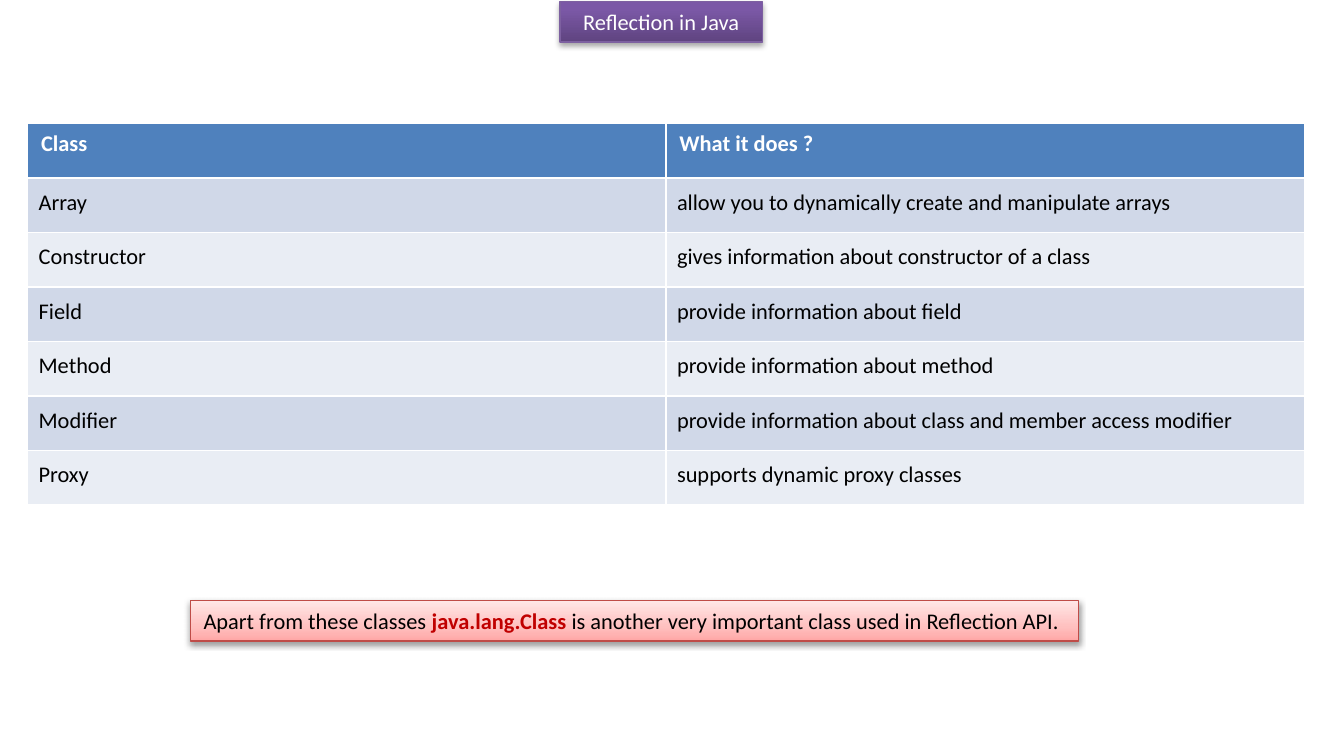
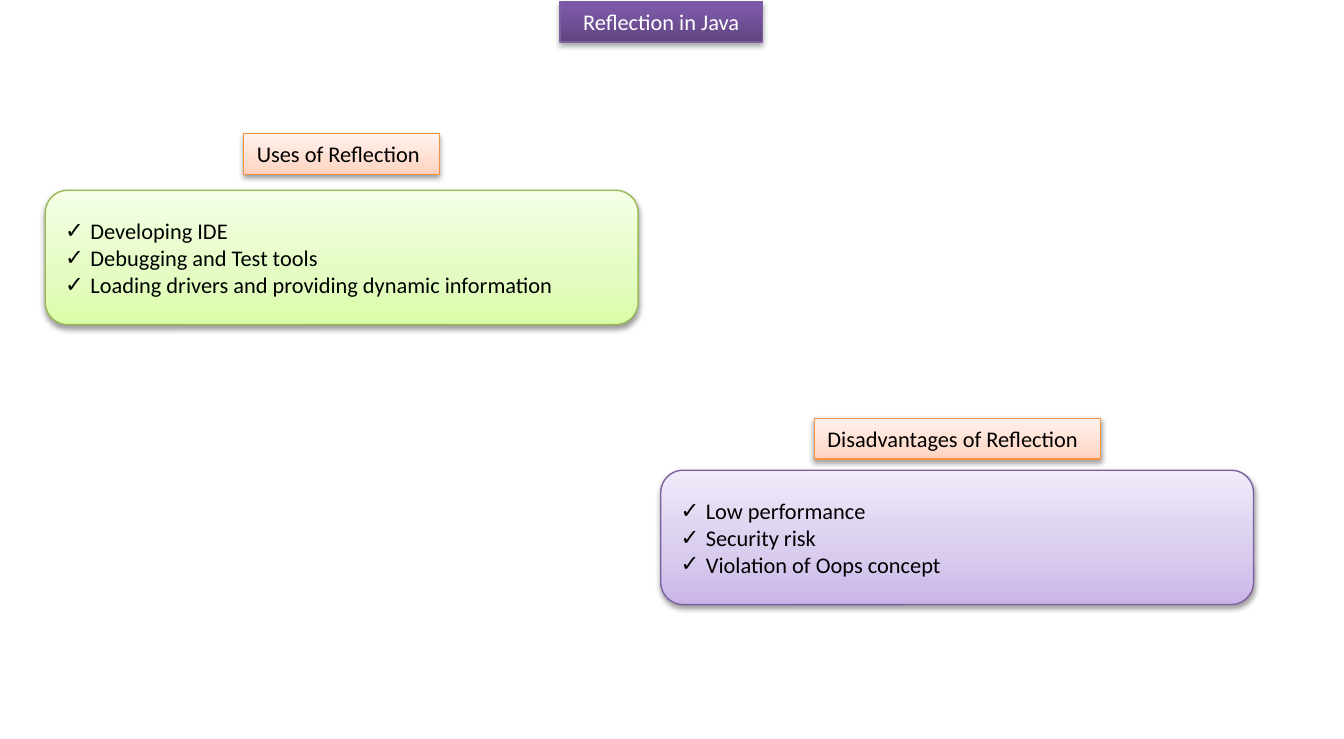
from collections import namedtuple

from lxml import etree
from pptx import Presentation
from pptx.dml.color import RGBColor
from pptx.enum import text
from pptx.oxml import ns, parse_xml
from pptx.util import Pt

WHITE = RGBColor(0xFF, 0xFF, 0xFF)
BLACK = RGBColor(0x00, 0x00, 0x00)
DARK_RED = RGBColor(0xC0, 0x00, 0x00)
HEADER_BLUE = RGBColor(0x4F, 0x81, 0xBD)
ROW_BANDS = (RGBColor(0xD0, 0xD8, 0xE8), RGBColor(0xE9, 0xED, 0xF4))
PURPLE_LINE = RGBColor(0x7D, 0x60, 0xA0)

Box = namedtuple("Box", "left top width height")
Look = namedtuple("Look", "middle_stop colors line shadow_alpha shadow_distance")


def soft_look(colors, line):
    """Describe a pale gradient with the shared soft shadow."""
    return Look(35, [RGBColor.from_string(c) for c in colors], line, 38, 1.6)


TITLE_LOOK = Look(80, [RGBColor(0x5F, 0x44, 0x80), RGBColor(0x7B, 0x58, 0xA6),
                       RGBColor(0x7C, 0x57, 0xA8)], PURPLE_LINE, 35, 1.8)
RED_LOOK = soft_look(("FFA6A5", "FFC0BF", "FFE7E7"), RGBColor(0xBF, 0x4C, 0x48))
GREEN_LOOK = soft_look(("DAFDA7", "E4FCC2", "F5FFE7"), RGBColor(0x98, 0xB9, 0x55))
PURPLE_LOOK = soft_look(("C9B5E8", "D8CBEE", "F0EAF9"), PURPLE_LINE)
ORANGE_LOOK = soft_look(("FFD2BD", "FFDED0", "FFF2ED"), RGBColor(0xF6, 0x92, 0x40))

TITLE_BOX = Box(300, 0.7, 108.5, 21.8)
LABEL_HEIGHT = 21.8
CARD_SIZE = (317.6, 72)

CLASSES = [
    ("Class", "What it does ?"),
    ("Array", "allow you to dynamically create and manipulate arrays"),
    ("Constructor", "gives information about constructor of a class"),
    ("Field", "provide information about field"),
    ("Method", "provide information about method"),
    ("Modifier", "provide information about class and member access modifier"),
    ("Proxy", "supports dynamic proxy classes"),
]


def place(shape, box):
    """Move and size a shape in points."""
    shape.left, shape.top, shape.width, shape.height = map(Pt, box)


def paint(shape, look, outline="rect"):
    """Give a placed shape its outline, upward gradient, line and shadow."""
    properties = shape._element.spPr
    for child in list(properties)[1:]:
        properties.remove(child)
    stops = "".join(
        f'<a:gs pos="{position * 1000}"><a:srgbClr val="{color}"/></a:gs>'
        for position, color in zip((0, look.middle_stop, 100), look.colors))
    parts = parse_xml(
        f'<p:spPr {ns.nsdecls("a", "p")}>'
        f'<a:prstGeom prst="{outline}"><a:avLst/></a:prstGeom>'
        f'<a:gradFill rotWithShape="1"><a:gsLst>{stops}</a:gsLst>'
        '<a:lin ang="16200000" scaled="0"/></a:gradFill>'
        f'<a:ln w="{Pt(0.75)}"><a:solidFill><a:srgbClr val="{look.line}"/></a:solidFill></a:ln>'
        f'<a:effectLst><a:outerShdw blurRad="{Pt(3.1)}" dist="{Pt(look.shadow_distance)}" '
        'dir="5400000" rotWithShape="0"><a:srgbClr val="000000">'
        f'<a:alpha val="{look.shadow_alpha * 1000}"/></a:srgbClr></a:outerShdw></a:effectLst>'
        '</p:spPr>')
    properties.extend(list(parts))


def style(font, color=BLACK, bold=False):
    """Apply the deck's type to a font."""
    font.name, font.size, font.bold = "Calibri", Pt(12), bold
    font.color.rgb = color


def add_title(slide):
    """Fill the slide title as a purple tab at the top."""
    title = slide.shapes.title
    place(title, TITLE_BOX)
    paint(title, TITLE_LOOK)
    frame = title.text_frame
    frame.text = "Reflection in Java"
    frame.auto_size = text.MSO_AUTO_SIZE.NONE
    frame.vertical_anchor = text.MSO_ANCHOR.TOP
    frame.paragraphs[0].alignment = text.PP_ALIGN.CENTER
    style(frame.paragraphs[0].font, WHITE)


def add_label(slide, box, look, wording=""):
    """Add a one-line painted label and return its paragraph."""
    label = slide.shapes.add_textbox(*map(Pt, box))
    paint(label, look)
    label.text_frame.word_wrap = True
    line = label.text_frame.paragraphs[0]
    if wording:
        line.text = wording
    style(line.font)
    return line


def add_class_table(slide, box):
    """Add the table of classes with a blue header and banded rows."""
    table = slide.shapes.add_table(len(CLASSES), 2, *map(Pt, box)).table
    for row_index, wordings in enumerate(CLASSES):
        is_header = row_index == 0
        for cell, wording in zip(table.rows[row_index].cells, wordings):
            cell.text = wording
            cell.fill.solid()
            cell.fill.fore_color.rgb = HEADER_BLUE if is_header else ROW_BANDS[(row_index - 1) % 2]
            if not is_header:
                cell.margin_left = cell.margin_right = Pt(5.9)
                cell.margin_top = cell.margin_bottom = Pt(5.9)
            style(cell.text_frame.paragraphs[0].font, WHITE if is_header else BLACK, is_header)


def add_check_card(slide, card, box, look, points):
    """Turn a body placeholder into a rounded card of ticked points."""
    place(card, box)
    paint(card, look, "roundRect")
    frame = card.text_frame
    frame.text = "\n".join(points)
    frame.auto_size = text.MSO_AUTO_SIZE.NONE
    frame.vertical_anchor = text.MSO_ANCHOR.MIDDLE
    for point in frame.paragraphs:
        properties = point._p.get_or_add_pPr()
        properties.set("marL", str(Pt(13.5)))
        properties.set("indent", str(-Pt(13.5)))
        etree.SubElement(properties, ns.qn("a:buChar")).set("char", "✓")
        point.space_before = Pt(0)
        style(point.font)


def add_topic(slide, card, corner, label_box, look, heading, points):
    """Add a card with its heading, placed relative to the card's corner."""
    left, top = corner
    add_check_card(slide, card, Box(left, top, *CARD_SIZE), look, points)
    offset, rise, width = label_box
    add_label(slide, Box(left + offset, top - rise, width, LABEL_HEIGHT), ORANGE_LOOK, heading)


def build_classes_slide(deck):
    """Build the slide listing the reflection classes."""
    slide = deck.slides.add_slide(deck.slide_layouts[5])
    add_title(slide)
    add_class_table(slide, Box(14.8, 66.2, 684, 204.4))
    note = add_label(slide, Box(102, 321.8, 476, LABEL_HEIGHT), RED_LOOK)
    for wording, color, bold in (
            ("Apart from these classes ", BLACK, False),
            ("java.lang.Class ", DARK_RED, True),
            ("is another very important class used in Reflection API.", BLACK, False)):
        run = note.add_run()
        run.text = wording
        style(run.font, color, bold)


def build_uses_slide(deck):
    """Build the slide on uses and disadvantages."""
    slide = deck.slides.add_slide(deck.slide_layouts[3])
    add_title(slide)
    uses, disadvantages = list(slide.placeholders)[1:]
    add_topic(slide, uses, (24.3, 102), (106.2, 30.3, 105), GREEN_LOOK, "Uses of Reflection",
              ["Developing IDE", "Debugging and Test tools",
               "Loading drivers and providing dynamic information"])
    add_topic(slide, disadvantages, (354, 252), (82.2, 27.8, 153.5), PURPLE_LOOK,
              "Disadvantages of Reflection",
              ["Low performance", "Security risk", "Violation of Oops concept"])


def main():
    """Build and save the deck."""
    deck = Presentation()
    deck.slide_width, deck.slide_height = Pt(720), Pt(396)
    build_classes_slide(deck)
    build_uses_slide(deck)
    deck.save("out.pptx")


if __name__ == "__main__":
    main()
